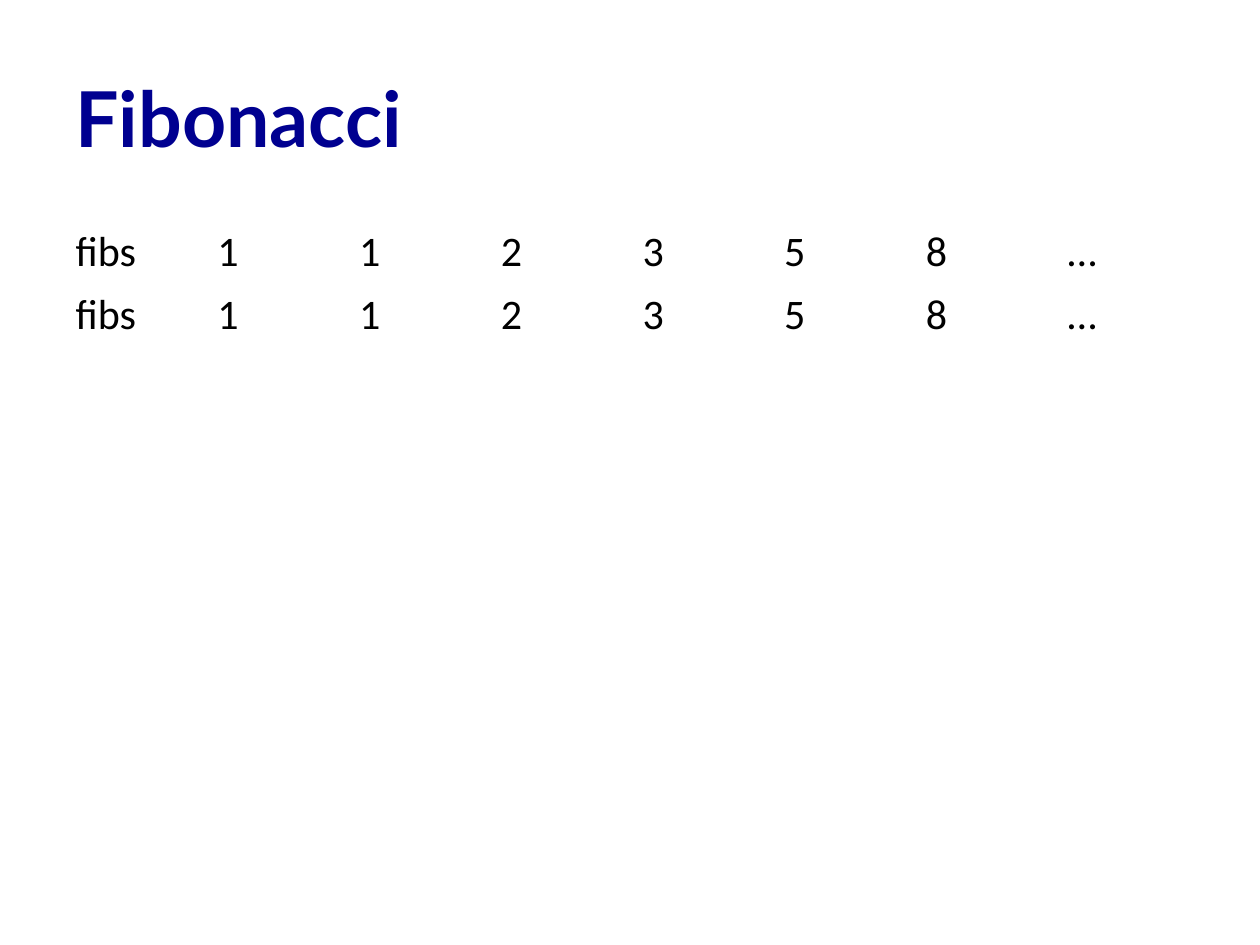
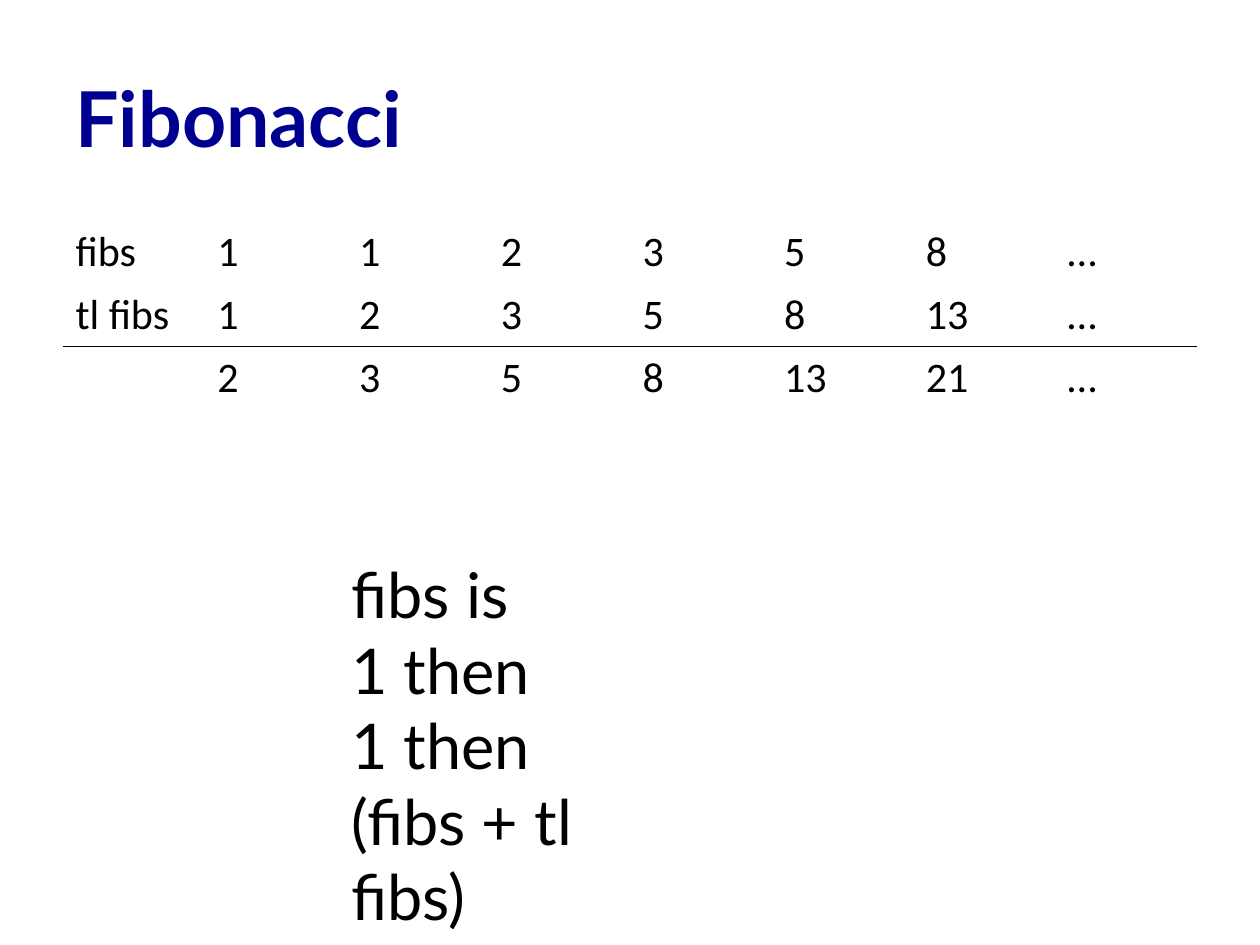
from dataclasses import dataclass
from typing import Optional

import pptx
import pptx.dml.color
import pptx.enum.text
import pptx.oxml
import pptx.oxml.ns
import pptx.util
from pptx.util import Inches

COLOURS = {"title": "000090", "text": "000000"}
TEXT_FONT, TABLE_FONT = "Lato", "Calibri"
PLAIN_TABLE_STYLE = "{2D5ABB26-0587-4C30-8999-92F81FD0307C}"
MARGIN, CONTENT_WIDTH = Inches(0.5), Inches(9)
ROW_HEIGHT = Inches(0.5)


@dataclass
class TextStyle:
    font: str
    size: int
    colour: str
    bold: bool = False


@dataclass
class Sequences:
    rows: list[list[str]]
    sum_row: Optional[int] = None  # row that has a rule above it


TITLE = TextStyle(TEXT_FONT, 44, "title", bold=True)
DEFINITION = TextStyle(TEXT_FONT, 36, "text")
TERM = TextStyle(TABLE_FONT, 24, "text")


def write(frame, text: str, style: TextStyle) -> None:
    frame.text = text
    for paragraph in frame.paragraphs:
        for run in paragraph.runs:
            run.font.name = style.font
            run.font.size = pptx.util.Pt(style.size)
            run.font.bold = style.bold
            run.font.color.rgb = pptx.dml.color.RGBColor.from_string(COLOURS[style.colour])


def add_text(slide, left, top, width, height, text: str, style: TextStyle,
             anchor=pptx.enum.text.MSO_ANCHOR.TOP) -> None:
    frame = slide.shapes.add_textbox(left, top, width, height).text_frame
    frame.word_wrap = True
    frame.vertical_anchor = anchor
    write(frame, text, style)


def add_rule(cell, side: str) -> None:
    """Draw a thin border on the top ("T") or bottom ("B") of a cell."""
    border = pptx.oxml.parse_xml(
        f'<a:ln{side} {pptx.oxml.ns.nsdecls("a")} w="{pptx.util.Pt(1)}"><a:solidFill>'
        f'<a:srgbClr val="{COLOURS["text"]}"/></a:solidFill></a:ln{side}>')
    cell._tc.get_or_add_tcPr().insert(0, border)


def add_sequences(slide, sequences: Sequences) -> None:
    row_count, column_count = len(sequences.rows), len(sequences.rows[0])
    table = slide.shapes.add_table(row_count, column_count, MARGIN, Inches(1.75),
                                   CONTENT_WIDTH, ROW_HEIGHT * row_count).table
    table.first_row = table.horz_banding = False
    table._tbl.tblPr.find(pptx.oxml.ns.qn("a:tableStyleId")).text = PLAIN_TABLE_STYLE
    for row, terms in enumerate(sequences.rows):
        for column, term in enumerate(terms):
            cell = table.cell(row, column)
            cell.fill.background()
            write(cell.text_frame, term, TERM)
            if row == sequences.sum_row:
                add_rule(cell, "T")
                add_rule(table.cell(row - 1, column), "B")


def add_fibonacci_slide(deck, sequences: Sequences):
    slide = deck.slides.add_slide(deck.slide_layouts[6])
    add_text(slide, MARGIN, Inches(0.3), CONTENT_WIDTH, Inches(1.25), "Fibonacci", TITLE,
             pptx.enum.text.MSO_ANCHOR.MIDDLE)
    add_sequences(slide, sequences)
    return slide


def labelled(label: str, start: int) -> list[str]:
    """A label, six Fibonacci numbers from the given position, and an ellipsis."""
    numbers = [1, 1]
    while len(numbers) < start + 6:
        numbers.append(numbers[-2] + numbers[-1])
    return [label, *map(str, numbers[start:start + 6]), "…"]


def main() -> None:
    deck = pptx.Presentation()
    deck.slide_width, deck.slide_height = Inches(10), Inches(7.5)

    # The sequence beside itself
    fibs = labelled("fibs", 0)
    add_fibonacci_slide(deck, Sequences([fibs, fibs]))

    # The sequence added to its tail, with the resulting definition
    sums = Sequences([fibs, labelled("tl fibs", 1), labelled("", 2)], sum_row=2)
    slide = add_fibonacci_slide(deck, sums)
    add_text(slide, Inches(2.69), Inches(4.36), Inches(2.77), Inches(2.52),
             "fibs is\n1 then\n1 then\n(fibs + tl fibs)", DEFINITION)

    deck.save("out.pptx")


if __name__ == "__main__":
    main()
